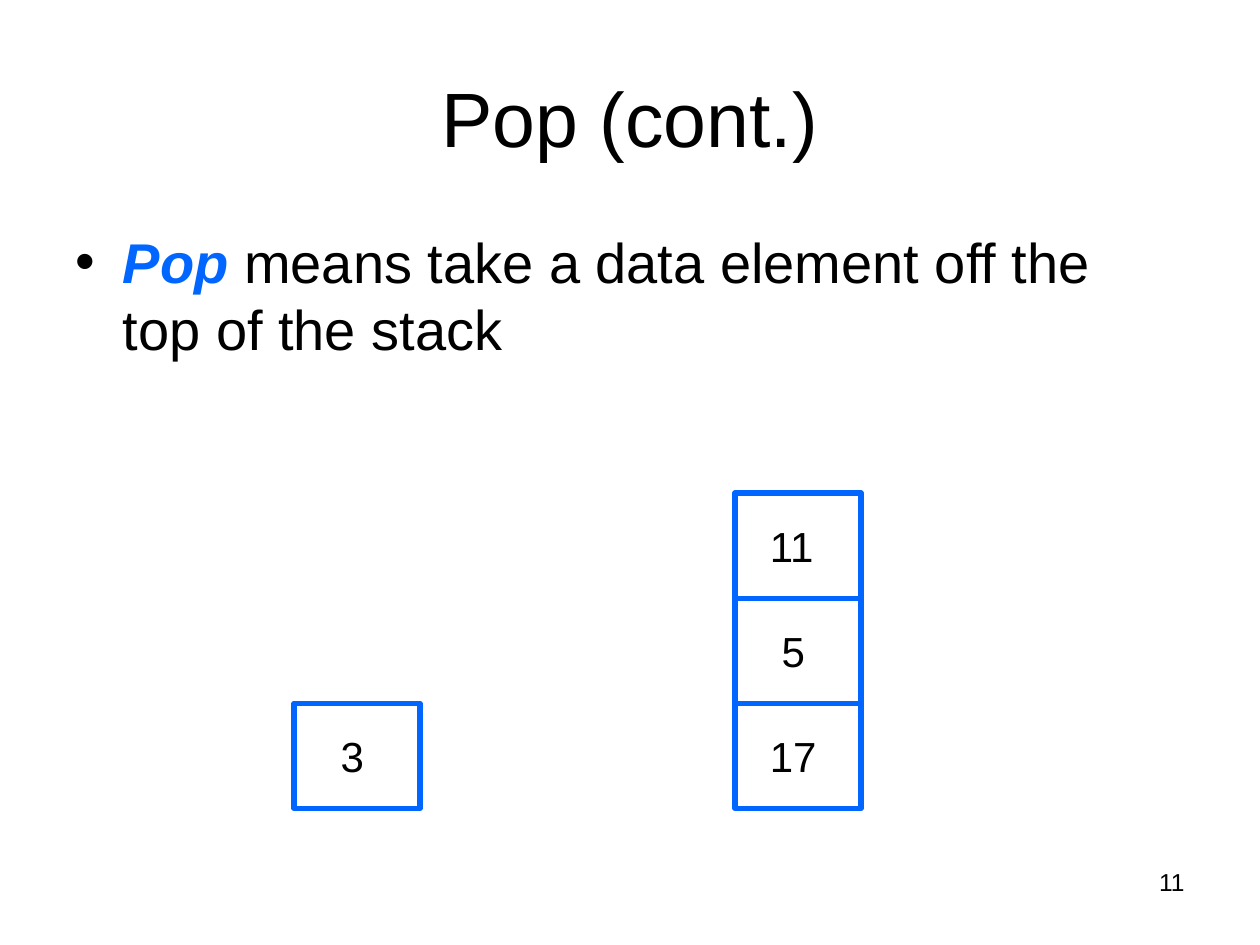
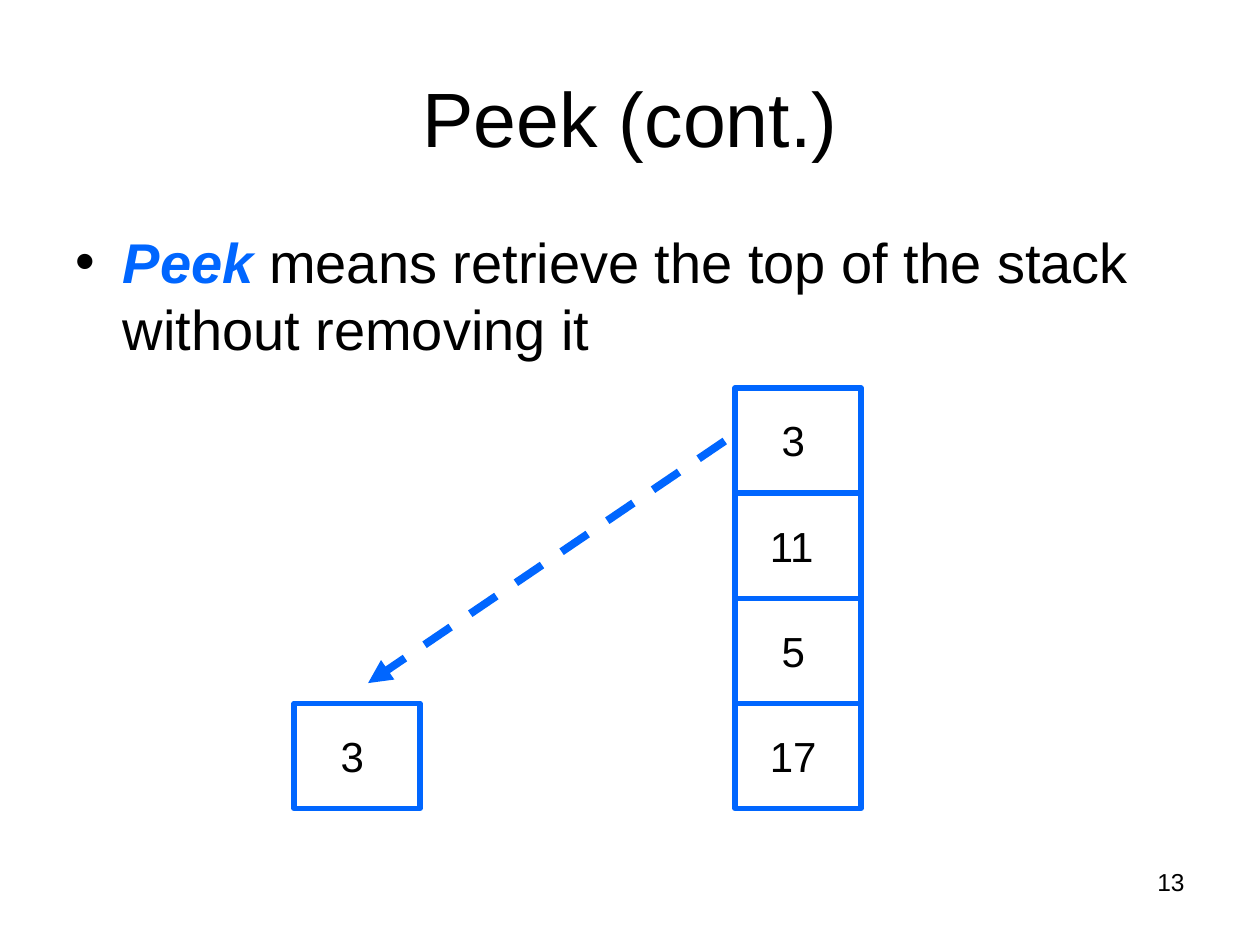
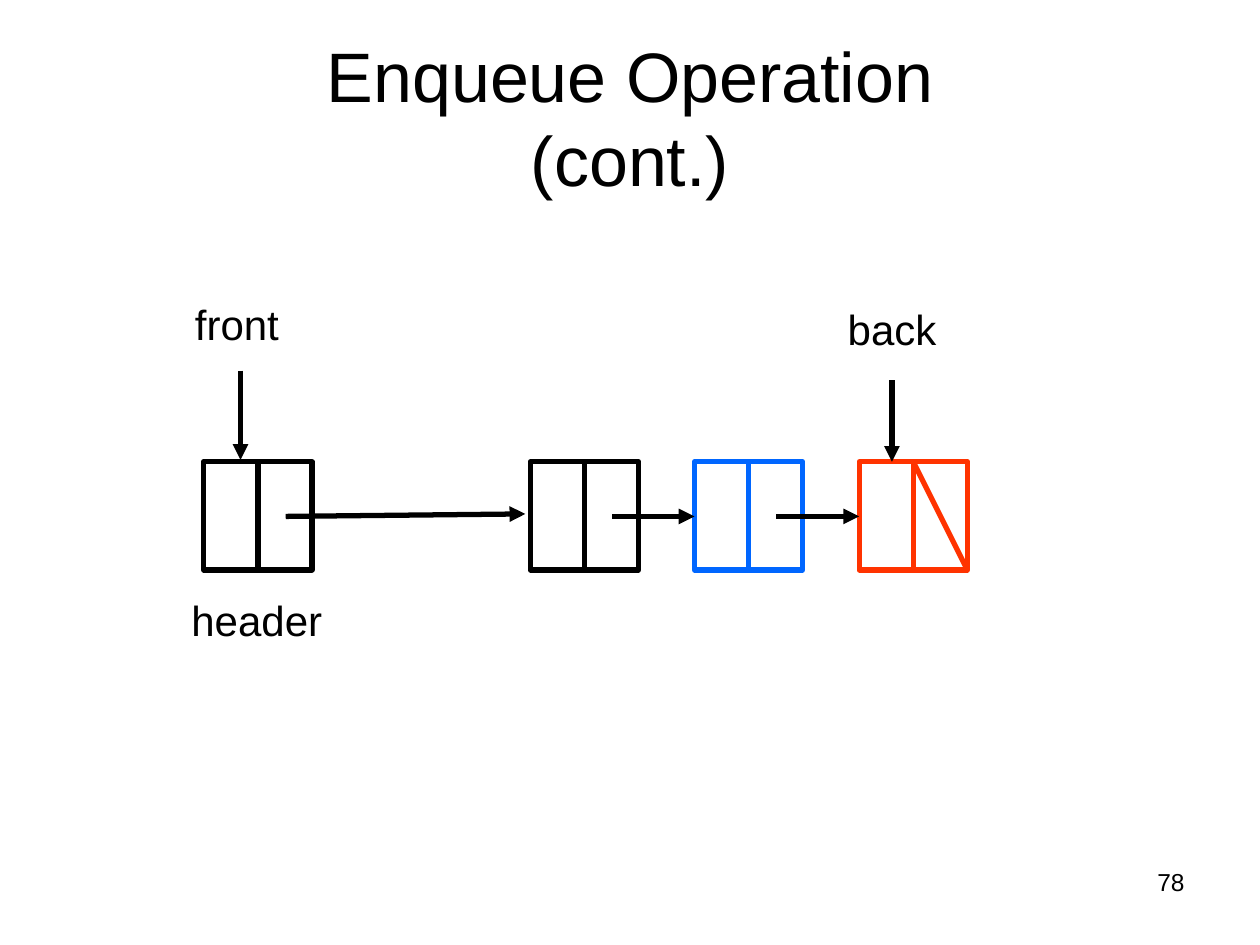
"""Builds three slides on stack and queue operations."""
from lxml.etree import SubElement
from pptx import Presentation
from pptx.dml.color import RGBColor as RGB
from pptx.enum.dml import MSO_LINE as Dash
from pptx.enum.shapes import MSO_CONNECTOR as Connector, MSO_SHAPE as Shape
from pptx.enum.text import MSO_ANCHOR as Anchor, MSO_AUTO_SIZE as AutoSize, PP_ALIGN as Align
from pptx.oxml.ns import qn
from pptx.util import Cm, Pt

COLORS = {"ink": "000000", "paper": "FFFFFF", "accent": "0066FF", "new": "FF3300"}
FONT = "Arial"
TITLE_AREA = (1.27, 0.76, 22.86, 3.18)
BODY_AREA = (1.27, 4.45, 22.86, 12.57)
NUMBER_AREA = (18.21, 17.35, 5.92, 1.32)
CELL_WIDTH, CELL_HEIGHT = 2.54, 2.12
STACK_LEFT, RESULT_LEFT, BOTTOM_TOP = 14.82, 5.93, 14.18
NODE_SIZE, NODE_TOP = 2.18, 9.31
NODE_MIDDLE, NODE_BOTTOM = 10.41, 11.49


def write(paragraph, text, size, color="ink", **formats):
    """Adds a run of text with its font settings."""
    font_run = paragraph.add_run()
    font_run.text = text
    for attribute, value in {"name": FONT, "size": Pt(size), **formats}.items():
        setattr(font_run.font, attribute, value)
    font_run.font.color.rgb = RGB.from_string(COLORS[color])


def place(holder, area):
    """Moves a placeholder to an area in centimetres."""
    for attribute, value in zip(("left", "top", "width", "height"), area):
        setattr(holder, attribute, Cm(value))
    holder.text_frame.auto_size = AutoSize.NONE


topics = [
    {"title": "Pop (cont.)", "title_size": 44, "number": "11", "term": "Pop",
     "meaning": " means take a data element off the top of the stack",
     "stack": ["17", "5", "11"], "lines": []},
    {"title": "Peek (cont.)", "title_size": 44, "number": "13", "term": "Peek",
     "meaning": " means retrieve the top of the stack without removing it",
     "stack": ["17", "5", "11", "3"],
     "lines": [((14.61, 8.89), (7.42, 13.77), "accent", 4.5, True, True)]},
]
for topic in topics:
    cells = [(STACK_LEFT, BOTTOM_TOP - CELL_HEIGHT * row, value)
             for row, value in enumerate(topic["stack"])]
    cells.append((RESULT_LEFT, BOTTOM_TOP, "3"))
    topic["boxes"] = [((left, top, CELL_WIDTH, CELL_HEIGHT), "accent")
                      for left, top, value in cells]
    topic["labels"] = [((left + 0.21, top + 0.42, 2.96, 1.27), value, 0.25 + 0.24 * (3 - len(value)))
                       for left, top, value in cells]

nodes = [(4.11, "ink"), (10.69, "ink"), (14.0, "accent"), (17.32, "new")]
last_left = nodes[-1][0]
link_ends = [(10.59, 10.36), (14.0, NODE_MIDDLE), (last_left, NODE_MIDDLE)]
pointers = [((4.85, 7.47), (4.85, 9.27)), ((17.98, 7.67), (17.98, NODE_TOP))]
pointers += [((left + 1.65, NODE_MIDDLE), end) for (left, color), end in zip(nodes, link_ends)]
queue_lines = [(start, end, "ink", 3, False, True) for start, end in pointers]
queue_lines += [((left + NODE_SIZE / 2, NODE_TOP), (left + NODE_SIZE / 2, NODE_BOTTOM), color, 3, False, False)
                for left, color in nodes]
queue_lines.append(((last_left + NODE_SIZE / 2, NODE_TOP), (last_left + NODE_SIZE, NODE_BOTTOM),
                    "new", 3, False, False))
topics.append({
    "title": "Enqueue Operation\v(cont.)", "title_size": 40, "number": "78",
    "boxes": [((left, NODE_TOP, NODE_SIZE, NODE_SIZE), color) for left, color in nodes],
    "lines": queue_lines,
    "labels": [((3.68, 5.89, 2.54, 0.94), "front", 0.25),
               ((16.84, 5.99, 2.84, 0.97), "back", 0.25),
               ((3.61, 11.86, 4.01, 1.27), "header", 0.25)],
})

deck = Presentation()
deck.slide_width, deck.slide_height = Cm(25.4), Cm(19.05)
content_layout, title_layout = deck.slide_layouts[1], deck.slide_layouts[5]

for topic in topics:
    slide = deck.slides.add_slide(content_layout if "term" in topic else title_layout)
    heading = slide.shapes.title
    place(heading, TITLE_AREA)
    heading.text_frame.vertical_anchor = Anchor.MIDDLE
    heading_line = heading.text_frame.paragraphs[0]
    heading_line.alignment = Align.CENTER
    for position, part in enumerate(topic["title"].split("\v")):
        if position:
            heading_line.add_line_break()
        write(heading_line, part, topic["title_size"])

    if "term" in topic:
        definition = slide.placeholders[1]
        place(definition, BODY_AREA)
        point = definition.text_frame.paragraphs[0]
        point.space_before = Pt(8)
        write(point, topic["term"], 32, "accent", bold=True, italic=True)
        write(point, topic["meaning"], 32)
        bullet = point._p.get_or_add_pPr()
        bullet.set("marL", str(Cm(0.95)))
        bullet.set("indent", str(-Cm(0.95)))
        SubElement(SubElement(bullet, qn("a:buClr")), qn("a:srgbClr")).set("val", COLORS["ink"])
        SubElement(bullet, qn("a:buFont")).set("typeface", FONT)
        SubElement(bullet, qn("a:buChar")).set("char", "•")

    for area, color in topic["boxes"]:
        box = slide.shapes.add_shape(Shape.RECTANGLE, *map(Cm, area))
        box.shadow.inherit = False
        box.fill.solid()
        box.fill.fore_color.rgb = RGB.from_string(COLORS["paper"])
        box.line.color.rgb = RGB.from_string(COLORS[color])
        box.line.width = Pt(3)

    for start, end, color, width, dashed, arrow in topic["lines"]:
        link = slide.shapes.add_connector(Connector.STRAIGHT, *map(Cm, start + end))
        link.line.color.rgb = RGB.from_string(COLORS[color])
        link.line.width = Pt(width)
        if dashed:
            link.line.dash_style = Dash.DASH
        if arrow:
            SubElement(link.element.spPr.find(qn("a:ln")), qn("a:tailEnd")).set("type", "triangle")
        SubElement(link.element.spPr, qn("a:effectLst"))

    captions = [(area, text, inset, 24, Align.LEFT) for area, text, inset in topic["labels"]]
    captions.append((NUMBER_AREA, topic["number"], 0.25, 14, Align.RIGHT))
    for area, text, inset, size, alignment in captions:
        caption = slide.shapes.add_textbox(*map(Cm, area)).text_frame
        caption.word_wrap = True
        caption.margin_left = Cm(inset)
        caption.paragraphs[0].alignment = alignment
        write(caption.paragraphs[0], text, size)

deck.save("out.pptx")
